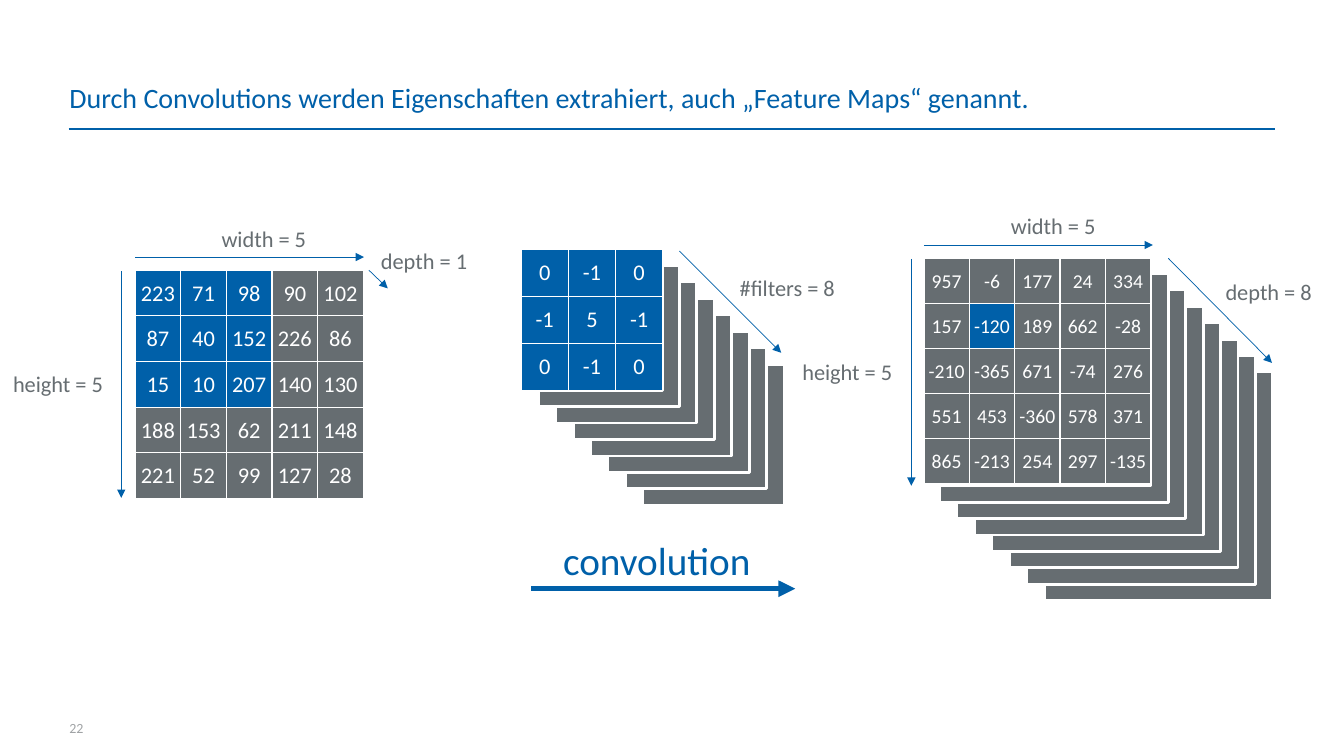
from lxml.etree import SubElement
from pptx import Presentation
from pptx.dml.color import RGBColor
from pptx.enum.shapes import MSO_CONNECTOR, MSO_SHAPE
from pptx.enum.text import MSO_ANCHOR, MSO_AUTO_SIZE, PP_ALIGN
from pptx.oxml.ns import qn
from pptx.util import Pt

BLUE = RGBColor(0x00, 0x60, 0xA9)
GRAY = RGBColor(0x66, 0x6D, 0x71)
LIGHT_GRAY = RGBColor(0xA0, 0xA3, 0xA5)
WHITE = RGBColor(0xFF, 0xFF, 0xFF)


def write(tf, text, size=16, color=GRAY, align=PP_ALIGN.LEFT, after=0, spacing=None):
    p = tf.paragraphs[0]
    p.alignment = align
    p.space_before = Pt(0)
    p.space_after = Pt(after)
    p.line_spacing = spacing
    r = p.add_run()
    r.text = text
    r.font.name = "Calibri"
    r.font.size = Pt(size)
    r.font.color.rgb = color


def set_margins(box, left, top, right, bottom):
    box.margin_left, box.margin_top = Pt(left), Pt(top)
    box.margin_right, box.margin_bottom = Pt(right), Pt(bottom)


prs = Presentation()
prs.slide_width, prs.slide_height = Pt(960), Pt(540)
slide = prs.slides.add_slide(prs.slide_layouts[5])
shapes = slide.shapes

# Title and page number
title = shapes.title
title.left, title.top, title.width, title.height = Pt(49.5), Pt(56), Pt(861), Pt(26.8)
page = shapes.add_textbox(Pt(49.5), Pt(511), Pt(37.5), Pt(11.5))
for sp in (title, page):
    tf = sp.text_frame
    tf.word_wrap = True
    tf.auto_size = MSO_AUTO_SIZE.NONE
    tf.vertical_anchor = MSO_ANCHOR.MIDDLE
    set_margins(tf, 0, 0, 0, 0)
write(title.text_frame, "Durch Convolutions werden Eigenschaften extrahiert, auch „Feature Maps“ genannt.",
      size=20, color=BLUE, after=3)
write(page.text_frame, "22", size=10, color=LIGHT_GRAY, spacing=1.5)

# Stacked layers behind the output and the filters, rearmost first
STEP_X, STEP_Y, LAYERS = 12.43, 11.73, 8
for left, top, side in [(658.8, 183.6, 163.4), (372.2, 178, 100.8)]:
    for i in reversed(range(LAYERS)):
        sp = shapes.add_shape(MSO_SHAPE.RECTANGLE, Pt(left + i * STEP_X), Pt(top + i * STEP_Y),
                              Pt(side), Pt(side))
        sp.shadow.inherit = False
        sp.fill.solid()
        sp.fill.fore_color.rgb = GRAY
        sp.line.color.rgb = WHITE
        sp.line.width = Pt(2)

# Number grids: left, top, cell width, cell height, text size, blue cells, values
input_values = [
    [223, 71, 98, 90, 102],
    [87, 40, 152, 226, 86],
    [15, 10, 207, 140, 130],
    [188, 153, 62, 211, 148],
    [221, 52, 99, 127, 28],
]
output_values = [
    [957, -6, 177, 24, 334],
    [157, -120, 189, 662, -28],
    [-210, -365, 671, -74, 276],
    [551, 453, -360, 578, 371],
    [865, -213, 254, 297, -135],
]
filter_values = [[0, -1, 0], [-1, 5, -1], [0, -1, 0]]
window = [(row, col) for row in range(3) for col in range(3)]
grids = [
    (96.5, 193, 32.6, 32.6, 16, window, input_values),
    (660, 184.5, 32.4, 32.15, 14, [(1, 1)], output_values),
    (372.2, 178, 33.75, 33.6, 16, window, filter_values),
]
for left, top, cell_w, cell_h, size, blue_cells, values in grids:
    n = len(values)
    table = shapes.add_table(n, n, Pt(left), Pt(top), Pt(n * cell_w), Pt(n * cell_h)).table
    table.first_row = table.horz_banding = False
    for i in range(n):
        table.columns[i].width = Pt(cell_w)
        table.rows[i].height = Pt(cell_h)
    for row, numbers in enumerate(values):
        for col, number in enumerate(numbers):
            cell = table.cell(row, col)
            cell.vertical_anchor = MSO_ANCHOR.MIDDLE
            set_margins(cell, 0.7, 0.7, 0.7, 0)
            for side in ("a:lnL", "a:lnR", "a:lnT", "a:lnB"):
                border = SubElement(cell._tc.get_or_add_tcPr(), qn(side), w=str(Pt(1)))
                SubElement(SubElement(border, qn("a:solidFill")), qn("a:srgbClr"), val=str(WHITE))
            cell.fill.solid()
            cell.fill.fore_color.rgb = BLUE if (row, col) in blue_cells else GRAY
            write(cell.text_frame, str(number), size=size, color=WHITE, align=PP_ALIGN.CENTER)

# Title rule and arrows: start, end, line width, arrowhead
lines = [
    (49, 92.2, 910.8, 92.2, 2, False),
    (96.5, 183.6, 260, 183.6, 0.5, True),
    (86.6, 193.7, 86.6, 355.7, 0.5, True),
    (263.5, 193, 277, 206, 0.5, True),
    (660, 175, 823.5, 175, 0.5, True),
    (651, 185, 651, 347, 0.5, True),
    (834.5, 184.5, 908.6, 259.2, 0.5, True),
    (485.3, 179.3, 558, 252, 0.5, True),
    (379.5, 420.5, 568, 420.5, 4, True),
]
for x1, y1, x2, y2, width, has_head in lines:
    line = shapes.add_connector(MSO_CONNECTOR.STRAIGHT, Pt(x1), Pt(y1), Pt(x2), Pt(y2))
    line.line.color.rgb = BLUE
    line.line.width = Pt(width)
    if has_head:
        SubElement(line.line._get_or_add_ln(), qn("a:tailEnd"), type="triangle")
    SubElement(line._element.spPr, qn("a:effectLst"))

# Labels
labels = [
    ("width = 5", 151.2, 157, 79.2),
    ("height = 5", 2.2, 260.6, 85.7),
    ("depth = 1", 265, 172.8, 80.6),
    ("width = 5", 715, 148.3, 79.2),
    ("height = 5", 566, 252, 85.7),
    ("depth = 8", 868.3, 195.1, 80.6),
    ("#filters = 8", 521.3, 192.2, 95),
]
for text, left, top, width in labels:
    tf = shapes.add_textbox(Pt(left), Pt(top), Pt(width), Pt(26.6)).text_frame
    tf.word_wrap = False
    write(tf, text, after=3)

tf = shapes.add_textbox(Pt(384.5), Pt(379.5), Pt(169.2), Pt(41)).text_frame
tf.word_wrap = True
write(tf, "convolution", size=28, color=BLUE, align=PP_ALIGN.CENTER, after=3)

prs.save("out.pptx")
